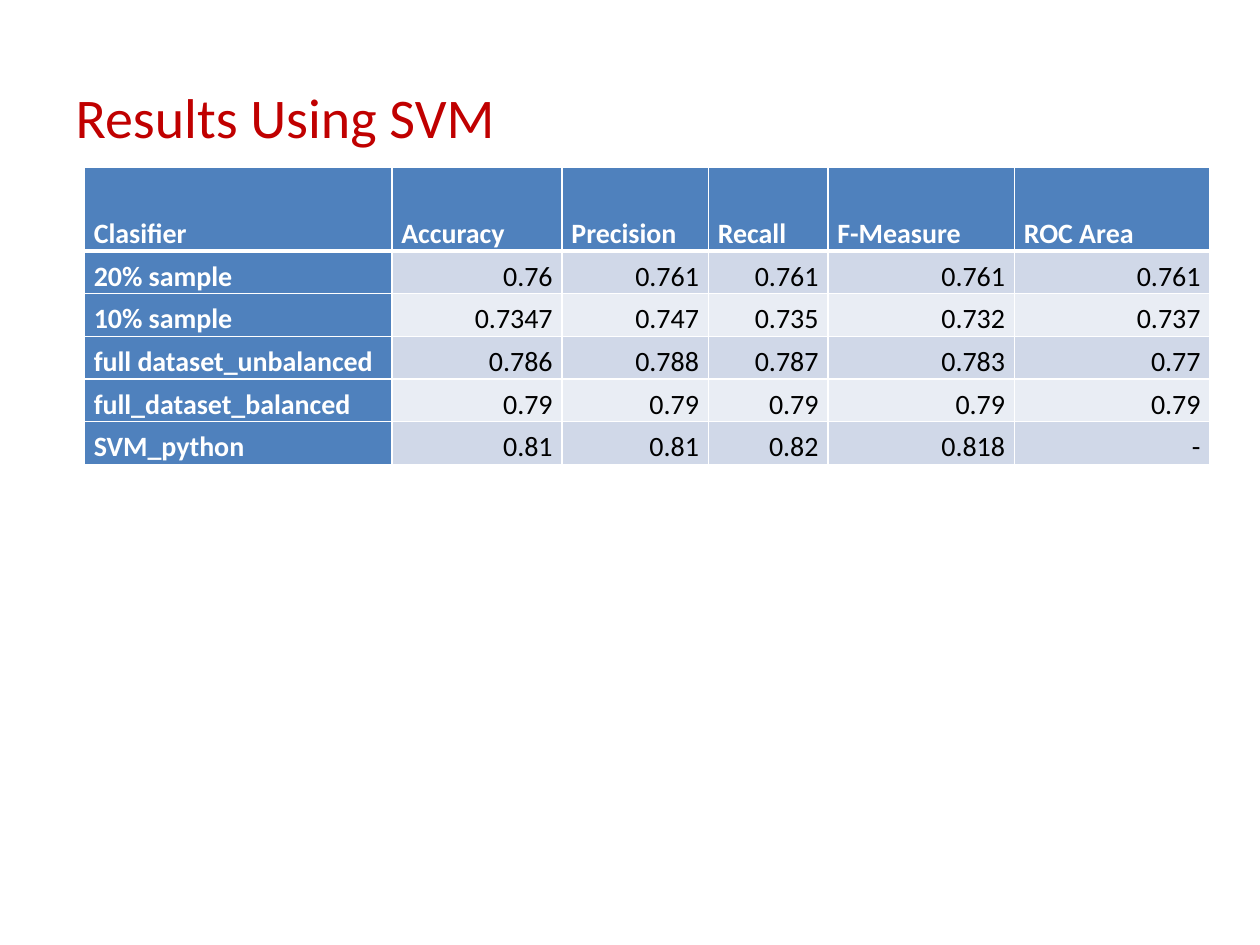
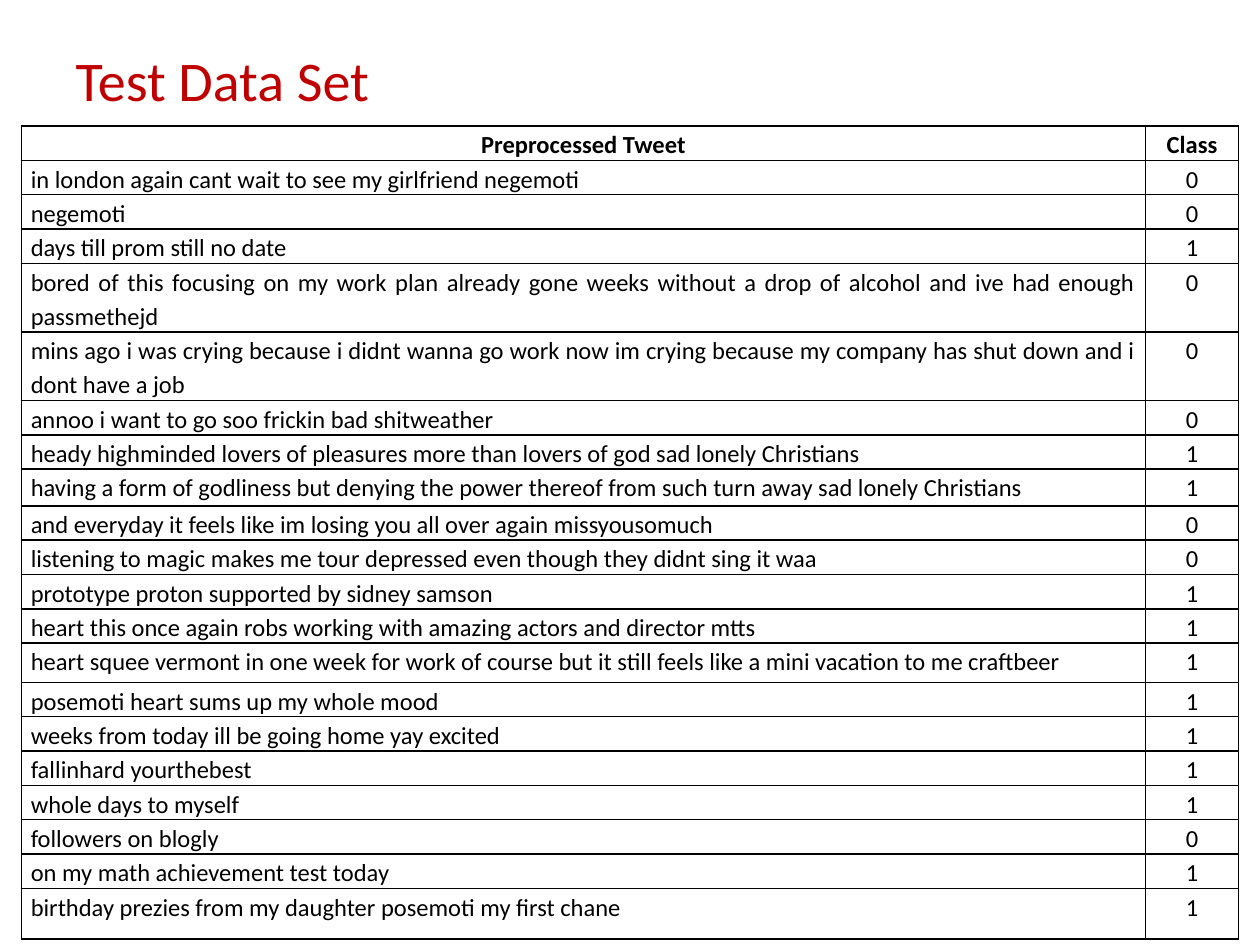
"""Build two slides: classifier results and the labelled test data."""
from lxml.etree import SubElement
from pptx import Presentation
from pptx.dml.color import RGBColor
from pptx.enum.text import MSO_ANCHOR, PP_ALIGN
from pptx.oxml.ns import qn
from pptx.util import Cm, Pt

FONT = "Calibri"
RED = RGBColor(0xC0, 0x00, 0x00)
BLUE = RGBColor(0x4F, 0x81, 0xBD)
BAND_DARK = RGBColor(0xD0, 0xD8, 0xE8)
BAND_LIGHT = RGBColor(0xE9, 0xED, 0xF4)
WHITE = RGBColor(0xFF, 0xFF, 0xFF)
BLACK = RGBColor(0x00, 0x00, 0x00)

RESULTS = [
    ("Clasifier", "Accuracy", "Precision", "Recall", "F-Measure", "ROC Area"),
    ("20% sample", "0.76", "0.761", "0.761", "0.761", "0.761"),
    ("10% sample", "0.7347", "0.747", "0.735", "0.732", "0.737"),
    ("full dataset_unbalanced", "0.786", "0.788", "0.787", "0.783", "0.77"),
    ("full_dataset_balanced", "0.79", "0.79", "0.79", "0.79", "0.79"),
    ("SVM_python", "0.81", "0.81", "0.82", "0.818", "-"),
]
RESULT_WIDTHS = (6.2, 3.43, 2.95, 2.41, 3.76, 3.94)
RESULT_HEIGHTS = [1.68] + [0.86] * 5

TWEETS = [
    ("Preprocessed Tweet", "Class"),
    ("in london again cant wait to see my girlfriend negemoti", "0"),
    ("negemoti", "0"),
    ("days till prom still no date", "1"),
    ("bored of this focusing on my work plan already gone weeks without a drop "
     "of alcohol and ive had enough passmethejd", "0"),
    ("mins ago i was crying because i didnt wanna go work now im crying because "
     "my company has shut down and i dont have a job", "0"),
    ("annoo i want to go soo frickin bad shitweather", "0"),
    ("heady highminded lovers of pleasures more than lovers of god sad lonely "
     "Christians", "1"),
    ("having a form of godliness but denying the power thereof from such turn "
     "away sad lonely Christians", "1"),
    ("and everyday it feels like im losing you all over again missyousomuch", "0"),
    ("listening to magic makes me tour depressed even though they didnt sing it "
     "waa", "0"),
    ("prototype proton supported by sidney samson", "1"),
    ("heart this once again robs working with amazing actors and director mtts", "1"),
    ("heart squee vermont in one week for work of course but it still feels like "
     "a mini vacation to me craftbeer", "1"),
    ("posemoti heart sums up my whole mood", "1"),
    ("weeks from today ill be going home yay excited", "1"),
    ("fallinhard yourthebest", "1"),
    ("whole days to myself", "1"),
    ("followers on blogly", "0"),
    ("on my math achievement test today", "1"),
    ("birthday prezies from my daughter posemoti my first chane", "1"),
]
TWEET_WIDTHS = (22.66, 1.88)
TALL_ROWS = {4: 1.22, 5: 1.24, 8: 0.74, 13: 0.79, 20: 1.02}
TWEET_HEIGHTS = [TALL_ROWS.get(row, 0.61) for row in range(len(TWEETS))]


def add_titled_page(deck, title, top):
    """Add a title-only page with its red title at the given height."""
    page = deck.slides.add_slide(deck.slide_layouts[5])
    box = page.shapes.title
    box.left, box.top, box.width, box.height = Cm(1.27), top, Cm(22.86), Cm(3.18)
    frame = box.text_frame
    frame.text = title
    frame.vertical_anchor = MSO_ANCHOR.MIDDLE
    para = frame.paragraphs[0]
    para.alignment = PP_ALIGN.LEFT
    para.font.name, para.font.size, para.font.color.rgb = FONT, Pt(32), RED
    return page


def add_grid(page, left, top, widths, heights, rows):
    """Add a plain table holding the rows and return it."""
    frame = page.shapes.add_table(len(rows), len(widths), left, top,
                                  Cm(sum(widths)), Cm(sum(heights)))
    table = frame.table
    table.first_row = table.horz_banding = False
    for column, width in zip(table.columns, widths):
        column.width = Cm(width)
    for row, height, texts in zip(table.rows, heights, rows):
        row.height = Cm(height)
        for cell, text in zip(row.cells, texts):
            cell.text = text
    return table


def set_borders(cell, color, top=1, bottom=1):
    """Draw four solid borders, one point wide unless told otherwise."""
    properties = cell._tc.get_or_add_tcPr()
    for side, width in (("L", 1), ("R", 1), ("T", top), ("B", bottom)):
        line = SubElement(properties, qn(f"a:ln{side}"), w=str(Pt(width)))
        fill = SubElement(line, qn("a:solidFill"))
        SubElement(fill, qn("a:srgbClr"), val=str(color))


def style_cell(cell, size, color, bold, alignment, anchor, fill=None):
    """Set the margins, text style and fill of one cell."""
    cell.margin_left = cell.margin_right = Cm(0.19)
    cell.margin_top = cell.margin_bottom = 0
    cell.vertical_anchor = anchor
    para = cell.text_frame.paragraphs[0]
    para.alignment, para.line_spacing = alignment, 1.15
    font = para.font
    font.name, font.size, font.bold, font.color.rgb = FONT, Pt(size), bold, color
    if fill is None:
        cell.fill.background()
    else:
        cell.fill.solid()
        cell.fill.fore_color.rgb = fill


def add_results_table(page, left, top):
    """Add the banded table of classifier scores."""
    table = add_grid(page, left, top, RESULT_WIDTHS, RESULT_HEIGHTS, RESULTS)
    for row_number, row in enumerate(table.rows):
        band = BAND_DARK if row_number % 2 else BAND_LIGHT
        for column_number, cell in enumerate(row.cells):
            heading = row_number == 0 or column_number == 0
            set_borders(cell, WHITE, top=3 if row_number == 1 else 1,
                        bottom=3 if row_number == 0 else 1)
            style_cell(cell, 16, WHITE if heading else BLACK, heading,
                       PP_ALIGN.LEFT if heading else PP_ALIGN.RIGHT,
                       MSO_ANCHOR.BOTTOM, BLUE if heading else band)


def add_tweet_table(page, left, top):
    """Add the ruled table of tweets and their classes."""
    table = add_grid(page, left, top, TWEET_WIDTHS, TWEET_HEIGHTS, TWEETS)
    for row_number, row in enumerate(table.rows):
        for column_number, cell in enumerate(row.cells):
            heading = row_number == 0
            centred = heading or column_number == 1
            set_borders(cell, BLACK)
            style_cell(cell, 14, BLACK, heading,
                       PP_ALIGN.CENTER if centred else PP_ALIGN.JUSTIFY,
                       MSO_ANCHOR.TOP)


def main():
    """Build and save the deck."""
    deck = Presentation()
    deck.slide_width, deck.slide_height = Cm(25.4), Cm(19.05)
    add_results_table(add_titled_page(deck, "Results Using SVM", Cm(0.76)),
                      Cm(1.7), Cm(3.38))
    add_tweet_table(add_titled_page(deck, "Test Data Set", Cm(0)),
                    Cm(0.43), Cm(2.54))
    deck.save("out.pptx")


if __name__ == "__main__":
    main()
